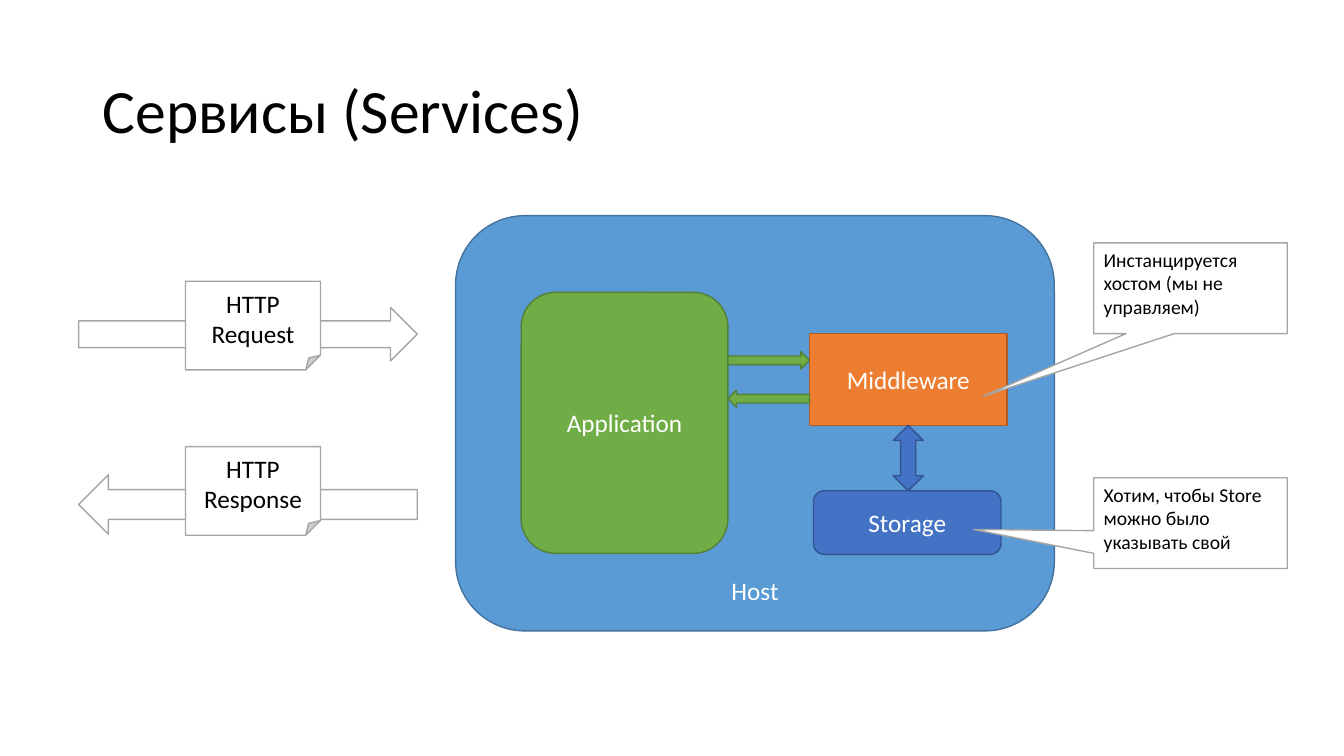
from pptx import Presentation
from pptx.dml.color import RGBColor
from pptx.enum.shapes import MSO_SHAPE
from pptx.enum.text import MSO_ANCHOR, PP_ALIGN
from pptx.util import Inches, Pt

COLORS = {
    "white": "FFFFFF", "black": "000000", "gray": "A5A5A5",
    "blue": "5B9BD5", "blue_edge": "43739E",
    "green": "70AD47", "green_edge": "538035",
    "orange": "ED7D31", "orange_edge": "AF5C24",
    "navy": "4472C4", "navy_edge": "325491",
}
PAPER = ("white", "gray", "black")
BLUE = ("blue", "blue_edge", "white")
GREEN = ("green", "green_edge", "white")
ORANGE = ("orange", "orange_edge", "white")
NAVY = ("navy", "navy_edge", "white")

prs = Presentation()
prs.slide_width, prs.slide_height = Inches(13.33), Inches(7.5)
COL, ROW = prs.slide_width / 100, prs.slide_height / 100
slide = prs.slides.add_slide(prs.slide_layouts[6])


def write(shape, text, size, color, anchor, align):
    frame = shape.text_frame
    frame.word_wrap = True
    frame.vertical_anchor = anchor
    paragraph = frame.paragraphs[0]
    paragraph.alignment = align
    run = paragraph.add_run()
    run.text = text
    run.font.name = "Calibri"
    run.font.size = Pt(size)
    run.font.color.rgb = RGBColor.from_string(COLORS[color])


def draw(parent, kind, x, y, w, h, style, text="", size=18,
         anchor=MSO_ANCHOR.MIDDLE, align=PP_ALIGN.CENTER):
    fill, edge, ink = style
    shape = parent.add_shape(kind, round(x * COL), round(y * ROW),
                             round(w * COL), round(h * ROW))
    shape.shadow.inherit = False
    shape.fill.solid()
    shape.fill.fore_color.rgb = RGBColor.from_string(COLORS[fill])
    shape.line.color.rgb = RGBColor.from_string(COLORS[edge])
    shape.line.width = Pt(1)
    if text:
        write(shape, text, size, ink, anchor, align)
    return shape


title = slide.shapes.add_textbox(round(6.9 * COL), round(5.33 * ROW),
                                 round(86.25 * COL), round(19.33 * ROW))
write(title, "Сервисы (Services)", 44, "black", MSO_ANCHOR.MIDDLE, PP_ALIGN.LEFT)
title.text_frame.paragraphs[0].line_spacing = 0.9

for label, arrow, arrow_y, arrow_h, note_y in (
    ("HTTP Request", MSO_SHAPE.RIGHT_ARROW, 40.67, 7.07, 37.2),
    ("HTTP Response", MSO_SHAPE.LEFT_ARROW, 62.8, 7.87, 59.07),
):
    message = slide.shapes.add_group_shape().shapes
    draw(message, arrow, 5.85, arrow_y, 25.2, arrow_h, PAPER)
    draw(message, MSO_SHAPE.FOLDED_CORNER, 13.8, note_y, 10.05, 11.73, PAPER, label)

app_x, app_w = 38.78, 15.38
mid_x, mid_y, mid_w, mid_h = 60.23, 44.13, 14.7, 12.13
store_y = 64.93
link_w = 2.25

draw(slide.shapes, MSO_SHAPE.ROUNDED_RECTANGLE, 33.9, 28.53, 44.55, 54.93,
     BLUE, "Host", anchor=MSO_ANCHOR.BOTTOM)
draw(slide.shapes, MSO_SHAPE.ROUNDED_RECTANGLE, app_x, 38.67, app_w, 34.53,
     GREEN, "Application")
draw(slide.shapes, MSO_SHAPE.RECTANGLE, mid_x, mid_y, mid_w, mid_h,
     ORANGE, "Middleware")
for y, angle in ((46.53, 0), (51.6, 180)):
    call = draw(slide.shapes, MSO_SHAPE.RIGHT_ARROW, app_x + app_w, y,
                mid_x - app_x - app_w, 2.27, GREEN)
    call.rotation = angle
draw(slide.shapes, MSO_SHAPE.ROUNDED_RECTANGLE, 60.53, store_y, 13.95, 8.4,
     NAVY, "Storage")
draw(slide.shapes, MSO_SHAPE.UP_DOWN_ARROW, mid_x + (mid_w - link_w) / 2,
     mid_y + mid_h, link_w, store_y - mid_y - mid_h, NAVY)

for y, tip_x, tip_y, text in (
    (32.13, -1.07, 1.19, "Инстанцируется хостом (мы не управляем)"),
    (63.2, -1.12, 0.07, "Хотим, чтобы Store можно было указывать свой"),
):
    callout = draw(slide.shapes, MSO_SHAPE.RECTANGULAR_CALLOUT, 81.38, y, 14.4, 12,
                   PAPER, text, 14, MSO_ANCHOR.TOP, PP_ALIGN.LEFT)
    callout.adjustments[0] = tip_x
    callout.adjustments[1] = tip_y

prs.save("out.pptx")
